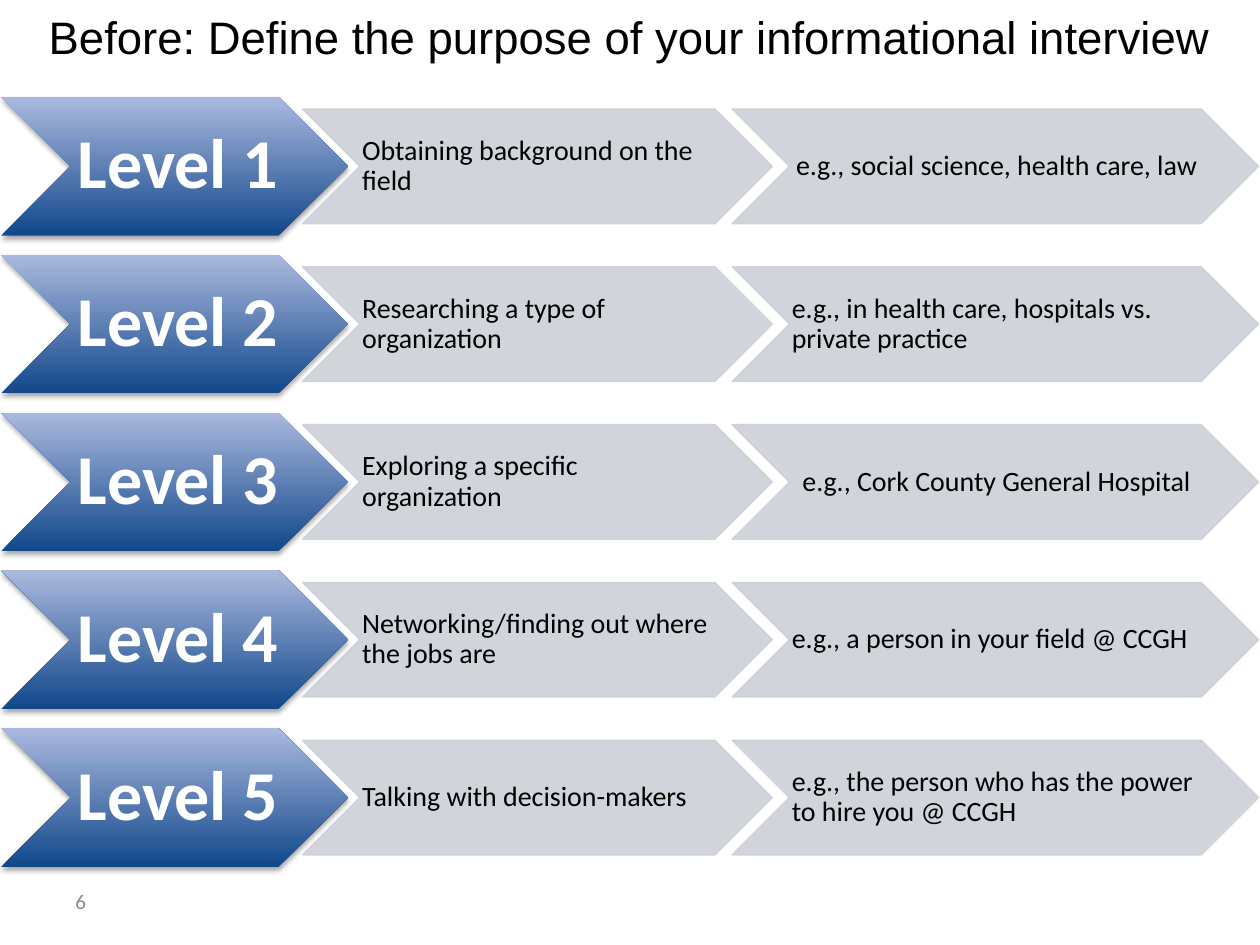
from dataclasses import dataclass
from lxml.etree import SubElement
from pptx import Presentation
from pptx.dml.color import RGBColor
from pptx.enum.shapes import MSO_SHAPE
from pptx.enum.text import MSO_ANCHOR, MSO_AUTO_SIZE, PP_ALIGN
from pptx.oxml.ns import qn
from pptx.util import Inches, Pt


@dataclass(frozen=True)
class Theme:
    dark: str = "11478B"
    light: str = "ABB9DE"
    grey: str = "CDD0D7"
    ink: str = "000000"
    white: str = "FFFFFF"
    faint: str = "8C8C8C"
    head: str = "Arial"
    body: str = "Calibri"
    title: int = 26
    level: int = 40
    text: int = 16
    small: int = 12


class Deck:
    def __init__(self, slide, theme):
        self.slide = slide
        self.theme = theme

    def label(self, shape, text, size, color, face, align, bold=False, pad=None):
        frame = shape.text_frame
        frame.text = text
        frame.word_wrap = True
        frame.auto_size = MSO_AUTO_SIZE.NONE
        frame.vertical_anchor = MSO_ANCHOR.MIDDLE
        if pad:
            frame.margin_left, frame.margin_right = Inches(pad), 0
            frame.margin_top = frame.margin_bottom = Inches(pad / 2)
        para = frame.paragraphs[0]
        para.alignment = align
        para.line_spacing = 0.9 if pad else 1.0
        font = para.font
        font.name, font.size, font.bold = face, Pt(size), bold
        font.color.rgb = RGBColor.from_string(color)

    def title(self, text, box):
        shape = self.slide.shapes.title
        shape.left, shape.top, shape.width, shape.height = map(Inches, box)
        t = self.theme
        self.label(shape, text, t.title, t.ink, t.head, PP_ALIGN.CENTER)

    def number(self, text, box):
        shape = self.slide.shapes.add_textbox(*map(Inches, box))
        t = self.theme
        self.label(shape, text, t.small, t.faint, t.body, PP_ALIGN.LEFT)

    def arrow(self, box):
        shape = self.slide.shapes.add_shape(MSO_SHAPE.CHEVRON, *map(Inches, box))
        shape.shadow.inherit = False
        return shape

    def level(self, text, box):
        t = self.theme
        shape = self.arrow(box)
        shape.line.fill.background()
        shape.fill.gradient()
        shape.fill.gradient_angle = 90
        for stop, color in zip(shape.fill.gradient_stops, (t.dark, t.light)):
            stop.color.rgb = RGBColor.from_string(color)
        effects = shape._element.spPr.find(qn("a:effectLst"))
        shade = SubElement(effects, qn("a:outerShdw"), blurRad=str(int(Pt(3.1))),
                           dist=str(int(Pt(1.8))), dir="5400000", rotWithShape="0")
        color = SubElement(shade, qn("a:srgbClr"), val=t.ink)
        SubElement(color, qn("a:alpha"), val="35000")
        self.label(shape, text, t.level, t.white, t.body, PP_ALIGN.CENTER, True, 0.06)
        shape.text_frame.word_wrap = False

    def detail(self, text, box, align):
        t = self.theme
        shape = self.arrow(box)
        shape.line.width = Pt(0.75)
        for fill in (shape.fill, shape.line.fill):
            fill.solid()
            fill.fore_color.rgb = RGBColor.from_string(t.grey)
        for color in shape._element.spPr.iter(qn("a:srgbClr")):
            SubElement(color, qn("a:alpha"), val="90000")
        self.label(shape, text, t.text, t.ink, t.body, align, pad=0.02)


LEFT, MID = PP_ALIGN.LEFT, PP_ALIGN.CENTER
ROWS = [
    ("Obtaining background on the field", "e.g., social science, health care, law", MID),
    ("Researching a type of organization",
     "e.g., in health care, hospitals vs. private practice", LEFT),
    ("Exploring a specific organization", "e.g., Cork County General Hospital", MID),
    ("Networking/finding out where the jobs are",
     "e.g., a person in your field @ CCGH", LEFT),
    ("Talking with decision-makers",
     "e.g., the person who has the power to hire you @ CCGH", LEFT),
]
FIRST, LAST = 0.77, 5.78
STEP = (LAST - FIRST) / (len(ROWS) - 1)
TALL, LOW = 1.1, 0.91

show = Presentation()
show.slide_width, show.slide_height = Inches(10), Inches(7.5)
deck = Deck(show.slides.add_slide(show.slide_layouts[5]), Theme())
for row, (goal, sample, align) in enumerate(ROWS):
    top = FIRST + row * STEP
    inner = top + (TALL - LOW) / 2
    deck.level(f"Level {row + 1}", (0.01, top, 2.75, TALL))
    deck.detail(goal, (2.4, inner, 3.73, LOW), LEFT)
    deck.detail(sample, (5.81, inner, 4.18, LOW), align)
deck.title("Before: Define the purpose of your informational interview",
           (0, -0.14, 10, 0.85))
deck.number("6", (0.5, 6.95, 2.33, 0.4))
show.save("out.pptx")
